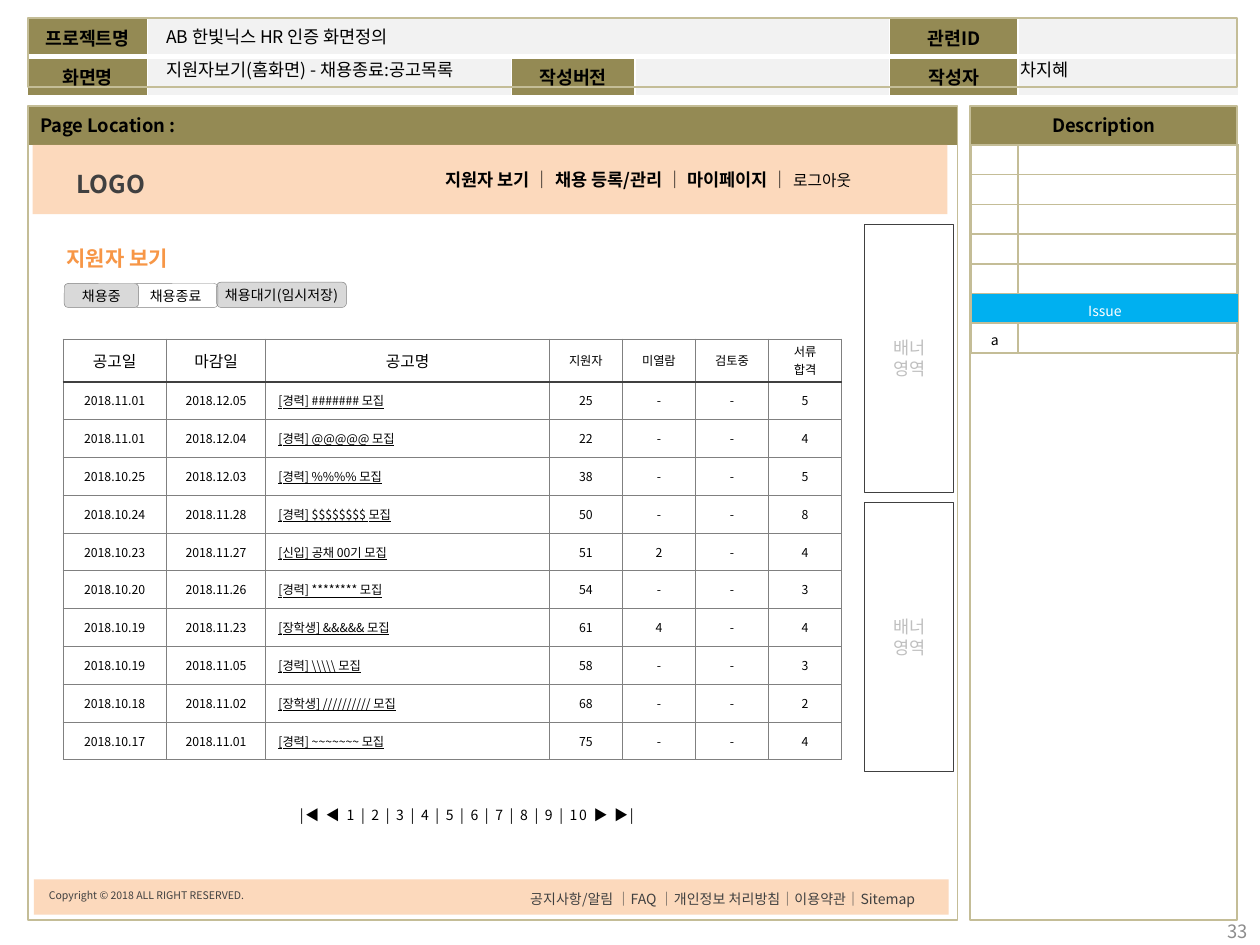
from lxml import etree
from pptx import Presentation
from pptx.dml.color import RGBColor
from pptx.enum import shapes, text
from pptx.oxml import ns
from pptx.util import Inches, Pt

FONT = "Noto Sans CJK KR"
OLIVE, TAN, PEACH, PALE = "948A54", "C4BD97", "FAC090", "F2F2F2"
BLACK, DARK, GRAY, WHITE = "000000", "404040", "808080", "FFFFFF"
LEFT, CENTER, RIGHT = text.PP_ALIGN.LEFT, text.PP_ALIGN.CENTER, text.PP_ALIGN.RIGHT
TOP, MIDDLE = text.MSO_ANCHOR.TOP, text.MSO_ANCHOR.MIDDLE
RECT, ROUND = shapes.MSO_SHAPE.RECTANGLE, shapes.MSO_SHAPE.ROUNDED_RECTANGLE

POSTINGS = [
    ("2018.11.01", "2018.12.05", "[경력] ####### 모집", "25", "-", "-", "5"),
    ("2018.11.01", "2018.12.04", "[경력] @@@@@ 모집", "22", "-", "-", "4"),
    ("2018.10.25", "2018.12.03", "[경력] %%%% 모집", "38", "-", "-", "5"),
    ("2018.10.24", "2018.11.28", "[경력] $$$$$$$$ 모집", "50", "-", "-", "8"),
    ("2018.10.23", "2018.11.27", "[신입] 공채 00기 모집", "51", "2", "-", "4"),
    ("2018.10.20", "2018.11.26", "[경력] ******** 모집", "54", "-", "-", "3"),
    ("2018.10.19", "2018.11.23", "[장학생] &&&&& 모집", "61", "4", "-", "4"),
    ("2018.10.19", "2018.11.05", r"[경력] \\\\\ 모집", "58", "-", "-", "3"),
    ("2018.10.18", "2018.11.02", "[장학생] ////////// 모집", "68", "-", "-", "2"),
    ("2018.10.17", "2018.11.01", "[경력] ~~~~~~~ 모집", "75", "-", "-", "4"),
]


def color(value):
    return RGBColor.from_string(value)


def add_span(para, words, size, ink=BLACK, **formats):
    span = para.add_run()
    span.text = words
    for name, value in {"name": FONT, "size": Pt(size), **formats}.items():
        setattr(span.font, name, value)
    span.font.color.rgb = color(ink)
    east_asian = etree.SubElement(span.font._element, ns.qn("a:ea"))
    east_asian.set("typeface", FONT)
    return span


def write(frame, words, size, ink=BLACK, align=LEFT, **formats):
    """Write one paragraph for each line of words."""
    for index, line in enumerate(words.split("\n")):
        para = frame.add_paragraph() if index else frame.paragraphs[0]
        para.alignment = align
        if line:
            add_span(para, line, size, ink, **formats)
        else:
            end = etree.SubElement(para._p, ns.qn("a:endParaRPr"))
            end.set("sz", str(int(size * 100)))


def set_fill(fill, value):
    if value:
        fill.solid()
        fill.fore_color.rgb = color(value)
    else:
        fill.background()


def add_box(page, place, kind=RECT, fill=None, line=None, width=1, opacity=None):
    box = page.shapes.add_shape(kind, *map(Inches, place))
    box.shadow.inherit = False
    set_fill(box.fill, fill)
    set_fill(box.line.fill, line)
    if line:
        box.line.width = Pt(width)
    if opacity:
        tint = box._element.spPr.find(".//" + ns.qn("a:srgbClr"))
        etree.SubElement(tint, ns.qn("a:alpha")).set("val", str(opacity * 1000))
    box.text_frame.vertical_anchor = MIDDLE
    return box


def add_label(page, place, words, size, ink=BLACK, align=LEFT, wrap=True,
              anchor=TOP, **formats):
    frame = page.shapes.add_textbox(*map(Inches, place)).text_frame
    frame.word_wrap = wrap
    frame.vertical_anchor = anchor
    write(frame, words, size, ink, align, **formats)
    return frame


def add_grid(page, left, top, columns, rows):
    table = page.shapes.add_table(len(rows), len(columns), Inches(left), Inches(top),
                                  Inches(sum(columns)), Inches(sum(rows))).table
    table.first_row = table.horz_banding = False
    for column, width in zip(table.columns, columns):
        column.width = Inches(width)
    for row, height in zip(table.rows, rows):
        row.height = Inches(height)
    return table


def set_cell(cell, words, size, borders, fill=None, ink=BLACK, align=CENTER,
             anchor=TOP, margins=None, **formats):
    """Fill a cell; borders maps each of L, R, T, B to (colour, width)."""
    properties = cell._tc.get_or_add_tcPr()
    for side in "LRTB":
        value, width = borders[side]
        line = etree.SubElement(properties, ns.qn("a:ln" + side), w=str(Pt(width)))
        solid = etree.SubElement(line, ns.qn("a:solidFill"))
        etree.SubElement(solid, ns.qn("a:srgbClr"), val=value)
    set_fill(cell.fill, fill)
    cell.vertical_anchor = anchor
    for side, margin in (margins or {}).items():
        setattr(cell, "margin_" + side, Inches(margin))
    write(cell.text_frame, words, size, ink, align, **formats)


def add_project_header(page):
    table = add_grid(page, 0.22, 0.14, [0.95, 2.89, 0.98, 2.02, 1.02, 1.75], [0.3, 0.3])
    rows = [["프로젝트명", "", "", "", "관련ID", ""],
            ["화면명", "", "작성버전", "", "작성자", ""]]
    for r, row in enumerate(rows):
        borders = dict.fromkeys("LRTB", (WHITE, 1))
        borders["TB"[1 - r if r else 1]] = (WHITE, 3)
        for c, words in enumerate(row):
            set_cell(table.cell(r, c), words, 10.5, borders,
                     OLIVE if words else PALE, bold=True)
    table.cell(0, 1).merge(table.cell(0, 3))


def add_description(page):
    table = add_grid(page, 7.71, 1.15, [0.37, 1.75], [0.236] * 7)
    borders = dict.fromkeys("LRTB", (TAN, 1))
    margins = {"left": 0.05, "right": 0.05, "top": 0.05, "bottom": 0.02}
    for r, row in enumerate([("", "")] * 5 + [("Issue", ""), ("a", "")]):
        issue = row[0] == "Issue"
        for c, words in enumerate(row):
            set_cell(table.cell(r, c), words, 8, borders, "00B0F0" if issue else None,
                     WHITE if issue else BLACK, margins=margins)
    table.cell(5, 0).merge(table.cell(5, 1))


def add_postings(page):
    header = ("공고일", "마감일", "공고명", "지원자", "미열람", "검토중", "서류\n합격")
    table = add_grid(page, 0.5, 2.69, [0.82, 0.79, 2.25] + [0.58] * 4, [0.34] + [0.3] * 10)
    for r, row in enumerate([header] + POSTINGS):
        borders = dict.fromkeys("LRTB", (GRAY, 0.5))
        if r < 2:
            borders["T" if r else "B"] = (DARK, 1)
        for c, words in enumerate(row):
            title = r > 0 and c == 2
            set_cell(table.cell(r, c), words, 9 if r == 0 and c < 3 else 7, borders,
                     align=LEFT if title else CENTER, anchor=MIDDLE,
                     margins={"top": 0.02, "bottom": 0.02}, underline=title)


def add_frames(page):
    for left, width, words, align in ((0.22, 7.38, "Page Location :", LEFT),
                                      (7.7, 2.12, "Description", CENTER)):
        bar = add_box(page, (left, 0.84, width, 0.31), fill=OLIVE)
        write(bar.text_frame, words, 10.5, align=align, bold=True)
        add_box(page, (left, 0.84, width, 6.46), line=TAN)
    add_box(page, (0.22, 0.14, 9.6, 0.55), line=TAN)


def add_tabs(page):
    for place, words, fill in (((1.72, 2.24, 1.03, 0.2), "채용대기(임시저장)", "D9D9D9"),
                               ((1.06, 2.25, 0.67, 0.19), "채용종료", None),
                               ((0.51, 2.25, 0.59, 0.19), "채용중", "D9D9D9")):
        tab = add_box(page, place, ROUND, fill, GRAY, 0.25)
        tab.text_frame.word_wrap = False
        tab.text_frame.margin_top = tab.text_frame.margin_bottom = Inches(0.04)
        write(tab.text_frame, words, 8, align=CENTER)


def add_pager(page):
    words = "|◀ ◀ " + " | ".join(map(str, range(1, 11))) + " ▶ ▶|"
    frame = add_label(page, (2.38, 6.35, 2.92, 0.24), words, 8, wrap=False, anchor=MIDDLE)
    for side in ("left", "right", "top", "bottom"):
        setattr(frame, "margin_" + side, 0)
    frame.paragraphs[0].runs[0].font._element.set("spc", "100")


def main():
    deck = Presentation()
    deck.slide_width, deck.slide_height = Inches(10), Inches(7.5)
    page = deck.slides.add_slide(deck.slide_layouts[6])

    # Document frame and project details
    add_project_header(page)
    add_frames(page)
    add_label(page, (1.22, 0.16, 2.13, 0.27), "AB 한빛닉스 HR 인증 화면정의", 10, wrap=False)
    add_label(page, (7.98, 0.42, 0.62, 0.27), "차지혜", 10, align=CENTER, wrap=False)
    add_label(page, (1.22, 0.42, 2.74, 0.27), "지원자보기(홈화면) - 채용종료:공고목록", 10,
              wrap=False)
    add_label(page, (9.52, 7.19, 0.48, 0.4), "33", 10.5, "8C8C8C", RIGHT, anchor=MIDDLE)
    add_description(page)

    # Site header and footer
    add_box(page, (0.26, 1.15, 7.26, 0.55), fill=PEACH, opacity=60)
    add_box(page, (0.27, 6.98, 7.26, 0.28), fill=PEACH, opacity=60)
    add_label(page, (0.51, 1.29, 0.83, 0.34), "LOGO", 14, DARK, bold=True)
    menu = add_label(page, (3.44, 1.29, 3.93, 0.27),
                     "지원자 보기 │ 채용 등록/관리 │ 마이페이지 ", 10, bold=True)
    add_span(menu.paragraphs[0], "│ ", 10)
    add_span(menu.paragraphs[0], "로그아웃", 9)
    add_label(page, (0.29, 7.01, 3.7, 0.2), "Copyright © 2018 ALL RIGHT RESERVED.", 6, DARK)
    add_label(page, (4.11, 7.02, 3.45, 0.24),
              "공지사항/알림 │FAQ │개인정보 처리방침│이용약관│Sitemap", 8, DARK)

    # Banner areas
    for top in (1.78, 3.99):
        banner = add_box(page, (6.86, top, 0.71, 2.13), line=DARK, width=0.5)
        write(banner.text_frame, "배너\n영역", 10, "BFBFBF", CENTER)

    # Applicant list
    add_label(page, (0.43, 1.9, 1.1, 0.3), "지원자 보기", 12, "F79646", bold=True)
    add_tabs(page)
    add_postings(page)
    add_pager(page)

    deck.save("out.pptx")


if __name__ == "__main__":
    main()
